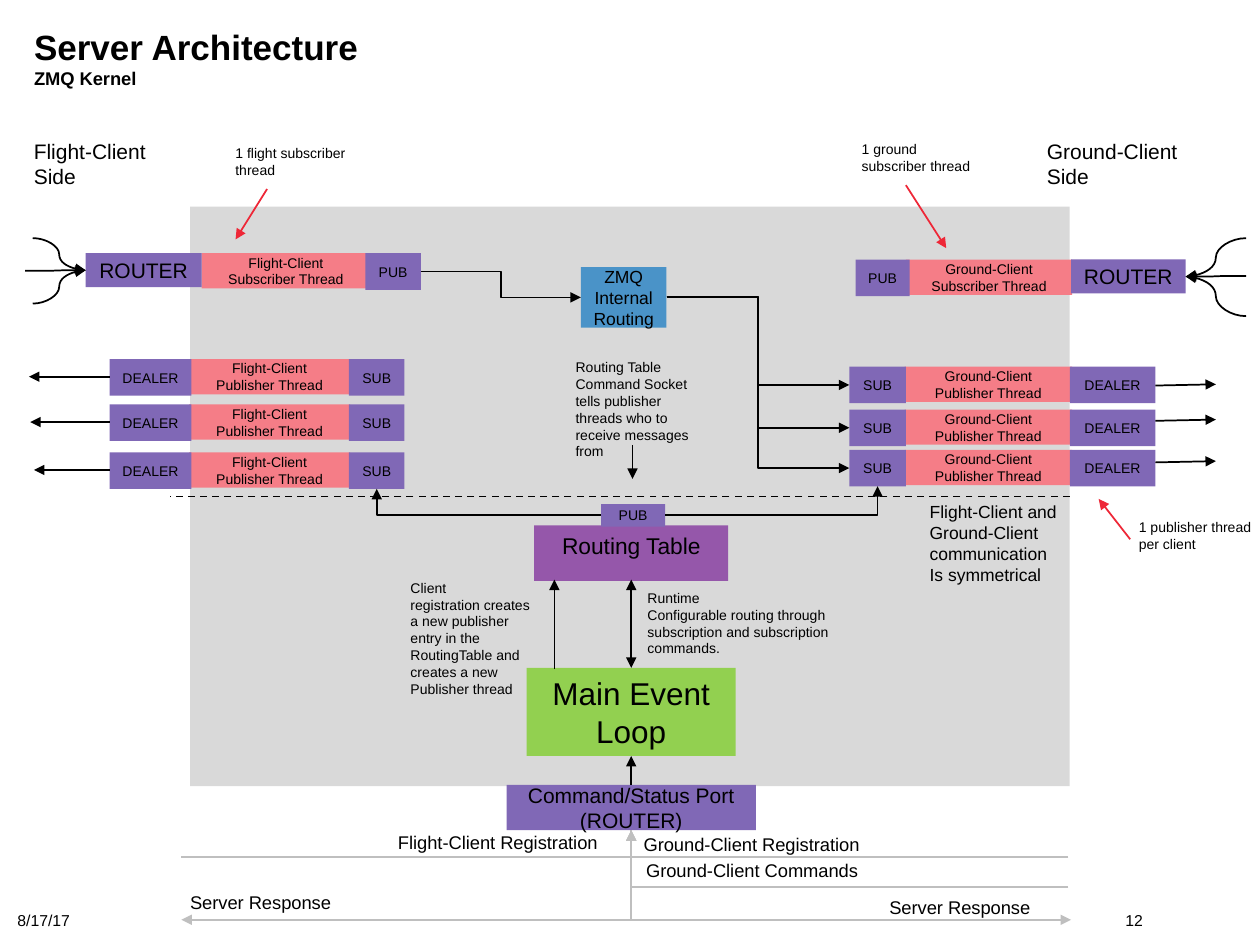
from lxml import etree
from pptx import Presentation
from pptx.dml.color import RGBColor
from pptx.enum.dml import MSO_LINE
from pptx.enum.shapes import MSO_CONNECTOR, MSO_SHAPE
from pptx.enum.text import MSO_ANCHOR, MSO_AUTO_SIZE, PP_ALIGN
from pptx.oxml.ns import qn
from pptx.util import Inches, Pt

RECTANGLE = MSO_SHAPE.RECTANGLE
STRAIGHT, ELBOW, CURVE = MSO_CONNECTOR.STRAIGHT, MSO_CONNECTOR.ELBOW, MSO_CONNECTOR.CURVE
LEFT, CENTER, RIGHT = PP_ALIGN.LEFT, PP_ALIGN.CENTER, PP_ALIGN.RIGHT
TOP, MIDDLE = MSO_ANCHOR.TOP, MSO_ANCHOR.MIDDLE
SITE_LEFT, SITE_BOTTOM, SITE_RIGHT = 1, 2, 3
FONT = "Arial"
COLORS = {
    "text": "000000", "panel": "D9D9D9", "socket": "8068B6", "thread": "F57D87",
    "loop": "92D050", "table": "9557AA", "routing": "0070C0", "bus": "BFBFBF",
    "callout": "EE2737",
}


def color(name):
    """Return the named colour."""
    return RGBColor.from_string(COLORS[name])


def write_text(shape, text, size, align, anchor, inset=0.1):
    """Fill a shape with uniformly formatted paragraphs."""
    frame = shape.text_frame
    frame.text = text
    frame.word_wrap = " " in text
    frame.vertical_anchor = anchor
    frame.margin_left = frame.margin_right = Inches(inset)
    for para in frame.paragraphs:
        para.alignment = align
        para.font.name = FONT
        para.font.size = Pt(size)
        para.font.color.rgb = color("text")


def add_label(page, place, text, size, align=LEFT, anchor=TOP):
    """Add a plain text box."""
    box = page.shapes.add_textbox(*map(Inches, place))
    write_text(box, text, size, align, anchor)


def add_box(page, place, fill, text="", size=8, anchor=MIDDLE, inset=0.1):
    """Add a filled rectangle with centred text."""
    box = page.shapes.add_shape(RECTANGLE, *map(Inches, place))
    box.shadow.inherit = False
    box.fill.solid()
    box.fill.fore_color.rgb = color(fill)
    box.line.fill.background()
    if text:
        write_text(box, text, size, CENTER, anchor, inset)
    return box


def add_link(page, kind, start, end, tone="text", width=1, head=False, tail=True):
    """Add a connector with optional arrowheads."""
    link = page.shapes.add_connector(kind, *map(Inches, start + end))
    link.line.color.rgb = color(tone)
    link.line.width = Pt(width)
    outline = link.line._get_or_add_ln()
    for tag, shown in (("a:headEnd", head), ("a:tailEnd", tail)):
        if shown:
            etree.SubElement(outline, qn(tag), type="triangle")
    etree.SubElement(link._element.spPr, qn("a:effectLst"))
    return link


def add_corner(page, start, end, target, source=None, source_site=SITE_LEFT, **style):
    """Add a one-bend connector that runs sideways, then up to the target."""
    link = add_link(page, ELBOW, start, end, **style)
    if source is not None:
        link.begin_connect(source, source_site)
    link.end_connect(target, SITE_BOTTOM)
    properties = link._element.spPr
    properties.find(qn("a:prstGeom")).set("prst", "bentConnector2")
    frame = properties.find(qn("a:xfrm"))
    if frame.get("flipH") and frame.get("flipV"):
        del frame.attrib["flipH"], frame.attrib["flipV"]
        frame.set("rot", "10800000")


def add_step(page, source, target, start, end):
    """Join the right side of one box to the left side of another."""
    link = add_link(page, ELBOW, start, end)
    link.begin_connect(source, SITE_RIGHT)
    link.end_connect(target, SITE_LEFT)


def add_thread(page, top, thread, port, socket):
    """Add a thread bar with its outer port and inner socket; return both."""
    left, width, text = thread
    add_box(page, (left, top, width, 0.28), "thread", text)
    return [add_box(page, (x, top, w, h), "socket", name, size)
            for x, w, h, name, size in (port, socket)]


def add_title(page):
    """Place and format the title."""
    title = page.shapes.title
    title.left, title.top, title.width, title.height = map(Inches, (0.17, 0.15, 9, 0.48))
    write_text(title, "Server Architecture\vZMQ Kernel", 20, LEFT, TOP)
    title.text_frame.auto_size = MSO_AUTO_SIZE.NONE
    para = title.text_frame.paragraphs[0]
    para.font.bold = True
    para.runs[1].font.size = Pt(10.5)


def add_labels(page):
    """Add all free-standing text."""
    for place, text, size in (
        ((8.21, 1.05, 1.49, 0.5), "Ground-Client Side", 12),
        ((0.17, 1.05, 1.34, 0.5), "Flight-Client Side", 12),
        ((7.28, 3.93, 1.38, 0.77),
         "Flight-Client and Ground-Client\ncommunication\nIs symmetrical", 10),
        ((5.03, 6.77, 2, 0.29), "Ground-Client Commands", 10.5),
        ((5.01, 6.56, 2.03, 0.29), "Ground-Client Registration", 10.5),
        ((3.06, 6.55, 1.85, 0.29), "Flight-Client Registration", 10.5),
        ((6.96, 7.06, 1.39, 0.29), "Server Response", 10.5),
        ((1.41, 7.02, 1.39, 0.29), "Server Response", 10.5),
        ((8.94, 4.07, 1.16, 0.37), "1 publisher thread per client", 8),
        ((1.77, 1.1, 1.16, 0.37), "1 flight subscriber thread", 8),
        ((6.74, 1.07, 1.16, 0.37), "1 ground subscriber thread", 8),
        ((5.04, 4.63, 1.65, 0.64),
         "Runtime\nConfigurable routing through subscription and subscription commands.", 8),
        ((3.16, 4.55, 1.16, 1.04),
         "Client\nregistration creates a new publisher entry in the RoutingTable "
         "and creates a new Publisher thread", 8),
        ((4.47, 2.8, 1.13, 0.91),
         "Routing Table Command Socket tells publisher threads who to receive "
         "messages from", 8),
    ):
        add_label(page, place, text, size)
    add_label(page, (0.04, 7.1, 1.51, 0.4), "8/17/17", 9, LEFT, MIDDLE)
    add_label(page, (8, 7.1, 1.17, 0.4), "12", 9, RIGHT, MIDDLE)


def main():
    """Build the server architecture slide."""
    deck = Presentation()
    deck.slide_width, deck.slide_height = Inches(10), Inches(7.5)
    page = deck.slides.add_slide(deck.slide_layouts[5])
    add_title(page)

    add_box(page, (1.51, 1.64, 6.98, 4.6), "panel")
    command_port = add_box(page, (4.02, 6.23, 1.98, 0.36), "socket",
                           "Command/Status Port\n(ROUTER)", 12)
    add_box(page, (4.18, 5.3, 1.66, 0.7), "loop", "Main Event Loop", 18)
    add_box(page, (4.24, 4.17, 1.54, 0.44), "table", "Routing Table", 13, TOP)
    table_pub = add_box(page, (4.77, 4, 0.51, 0.18), "socket", "PUB")
    routing = add_box(page, (4.61, 2.12, 0.68, 0.48), "routing",
                      "ZMQ\nInternal Routing", 10, inset=0.05)
    routing_fill = routing._element.spPr.find(qn("a:solidFill"))
    etree.SubElement(routing_fill[0], qn("a:alpha"), val="66000")

    flight_router, flight_pub = add_thread(
        page, 2.01, (1.6, 1.34, "Flight-Client Subscriber Thread"),
        (0.68, 0.92, 0.27, "ROUTER", 12), (2.9, 0.44, 0.29, "PUB", 8))
    ground_router, _ = add_thread(
        page, 2.06, (7.19, 1.32, "Ground-Client Subscriber Thread"),
        (8.5, 0.91, 0.27, "ROUTER", 12), (6.79, 0.43, 0.29, "PUB", 8))
    add_step(page, flight_pub, routing, (3.34, 2.15), (4.61, 2.36))

    for top, tip in ((2.85, 0.23), (3.21, 0.24), (3.59, 0.27)):
        _, flight_sub = add_thread(
            page, top, (1.5, 1.28, "Flight-Client Publisher Thread"),
            (0.87, 0.65, 0.29, "DEALER", 8), (2.77, 0.44, 0.29, "SUB", 8))
        add_link(page, STRAIGHT, (0.87, top + 0.14), (tip, top + 0.14))
    for top, exit_y in ((2.91, 3.06), (3.25, 3.34), (3.57, 3.67)):
        _, ground_sub = add_thread(
            page, top, (7.18, 1.33, "Ground-Client Publisher Thread"),
            (8.49, 0.68, 0.29, "DEALER", 8), (6.74, 0.45, 0.29, "SUB", 8))
        add_step(page, routing, ground_sub, (5.28, 2.36), (6.74, top + 0.14))
        add_link(page, STRAIGHT, (9.17, exit_y), (9.65, exit_y - 0.01))

    add_corner(page, (4.77, 4.09), (2.99, 3.88), flight_sub, table_pub)
    add_corner(page, (5.28, 4.09), (6.97, 3.86), ground_sub, table_pub, SITE_RIGHT)
    for x, y, response in ((8.48, 7.04, False), (8.48, 6.8, False), (1.44, 6.8, False),
                           (8.5, 7.3, True), (1.44, 7.3, True)):
        add_corner(page, (x, y), (5.01, 6.59), command_port,
                   tone="bus", head=response, tail=not response)

    for router, site, end, starts in (
        (flight_router, SITE_LEFT, (0.68, 2.15), ((0.26, 1.89), (0.2, 2.15), (0.26, 2.41))),
        (ground_router, SITE_RIGHT, (9.41, 2.2), ((9.89, 1.89), (9.89, 2.19), (9.89, 2.51))),
    ):
        for start in starts:
            add_link(page, CURVE, start, end).end_connect(router, site)

    for start, end in (((8.97, 4.28), (8.72, 3.96)), ((2.12, 1.5), (1.87, 1.9)),
                       ((7.19, 1.47), (7.51, 1.97))):
        add_link(page, STRAIGHT, start, end, "callout")
    add_link(page, STRAIGHT, (5.01, 6.23), (5.01, 6))
    add_link(page, STRAIGHT, (5.01, 5.3), (5.01, 4.6), head=True)
    add_link(page, STRAIGHT, (4.4, 5.31), (4.4, 4.6))
    add_link(page, STRAIGHT, (5.02, 3.53), (5.02, 3.8), width=0.25)
    divider = add_link(page, STRAIGHT, (8.49, 3.94), (1.35, 3.94), tail=False)
    divider.line.dash_style = MSO_LINE.DASH

    add_labels(page)
    deck.save("out.pptx")


if __name__ == "__main__":
    main()
